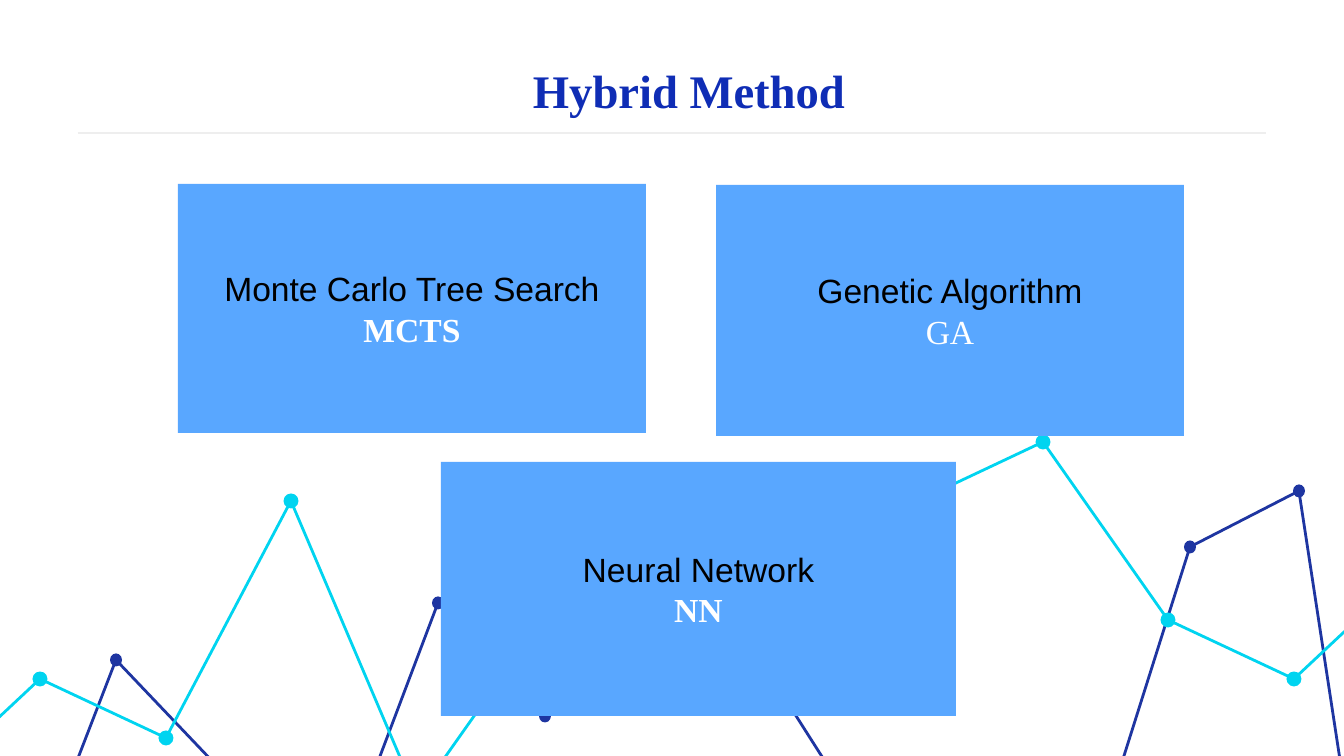
import dataclasses

import pptx
import pptx.dml.color
import pptx.enum.shapes
import pptx.enum.text
import pptx.oxml.ns
import pptx.util
from lxml import etree

SCALE = 914400 / 134.4


@dataclasses.dataclass(frozen=True)
class Theme:
    """Colours, fonts and point sizes of the slide."""
    navy: str = "1E35A1"
    cyan: str = "00D4F0"
    box: str = "59A7FF"
    rule: str = "EEEEEE"
    title: str = "0F2DB5"
    black: str = "000000"
    white: str = "FFFFFF"
    sans: str = "Arial"
    serif: str = "Times New Roman"
    title_size: int = 25
    box_size: int = 18
    line_width: float = 1.5


THEME = Theme()

NAVY_POINTS = [(7, 942), (116, 660), (331, 886), (438, 603), (545, 716), (653, 491),
               (868, 829), (974, 773), (1083, 886), (1190, 547), (1299, 491), (1368, 943)]
CYAN_POINTS = [(-86, 797), (40, 679), (166, 738), (291, 501), (417, 797), (542, 620),
               (667, 679), (792, 620), (918, 501), (1043, 442), (1168, 620), (1294, 679),
               (1421, 560), (1500, 800)]

BOXES = [
    ((178, 184, 468, 249), "Monte Carlo Tree Search", "MCTS", True),
    ((441, 462, 515, 254), "Neural Network", "NN", True),
    ((716, 185, 468, 251), "Genetic Algorithm", "GA", False),
]


def px(*values):
    """Turn px lengths into EMU."""
    return [pptx.util.Emu(round(v * SCALE)) for v in values]


def rgb(value):
    """Return a colour from its hex string."""
    return pptx.dml.color.RGBColor.from_string(value)


def set_line(s, color):
    """Give an outline or connector its colour and the theme width."""
    s.line.color.rgb = rgb(color)
    s.line.width = pptx.util.Pt(THEME.line_width)


def add_filled(slide, kind, rect, color):
    """Add a preset shape with a plain fill and no outline."""
    s = slide.shapes.add_shape(kind, *px(*rect))
    s.shadow.inherit = False
    s.fill.solid()
    s.fill.fore_color.rgb = rgb(color)
    s.line.fill.background()
    return s


def add_zigzag(slide, points, marked, dot, color):
    """Draw an open line through the points with dots on the marked ones."""
    builder = slide.shapes.build_freeform(*points[0], scale=SCALE)
    builder.add_line_segments(points[1:], close=False)
    s = builder.convert_to_shape()
    s.shadow.inherit = False
    s.fill.background()
    set_line(s, color)
    w, h = dot
    for x, y in (points[i] for i in marked):
        rect = (x - w / 2, y - h / 2, w, h)
        add_filled(slide, pptx.enum.shapes.MSO_SHAPE.OVAL, rect, color)


def add_rule(slide, x1, x2, y):
    """Draw the horizontal rule under the title."""
    s = slide.shapes.add_connector(
        pptx.enum.shapes.MSO_CONNECTOR.STRAIGHT, *px(x1, y, x2, y))
    set_line(s, THEME.rule)
    etree.SubElement(s.element.spPr, pptx.oxml.ns.qn("a:effectLst"))


def set_frame(tf):
    """Wrap the text, centre it vertically and set even margins."""
    tf.word_wrap = True
    tf.vertical_anchor = pptx.enum.text.MSO_ANCHOR.MIDDLE
    tf.margin_left = tf.margin_right = pptx.util.Inches(0.1)
    tf.margin_top = tf.margin_bottom = pptx.util.Inches(0.1)


def set_paragraph(p, text, size, font, color, bold):
    """Write one centred paragraph in a single style."""
    p.text = text
    p.alignment = pptx.enum.text.PP_ALIGN.CENTER
    p.font.size = pptx.util.Pt(size)
    p.font.name = font
    p.font.bold = bold
    p.font.color.rgb = rgb(color)


def add_title(slide, rect, text):
    """Add the slide title."""
    tf = slide.shapes.add_textbox(*px(*rect)).text_frame
    set_frame(tf)
    set_paragraph(tf.paragraphs[0], text, THEME.title_size, THEME.serif, THEME.title, True)


def add_method_box(slide, rect, name, short, bold):
    """Add a box with a method name above its abbreviation."""
    s = add_filled(slide, pptx.enum.shapes.MSO_SHAPE.RECTANGLE, rect, THEME.box)
    tf = s.text_frame
    set_frame(tf)
    set_paragraph(tf.paragraphs[0], name, THEME.box_size, THEME.sans, THEME.black, False)
    set_paragraph(tf.add_paragraph(), short, THEME.box_size, THEME.serif, THEME.white, bold)


def main():
    """Build the slide and save it."""
    prs = pptx.Presentation()
    prs.slide_width, prs.slide_height = px(1344, 756)
    slide = prs.slides.add_slide(prs.slide_layouts[6])
    add_zigzag(slide, NAVY_POINTS, (1, 3, 4, 9, 10), (12, 13), THEME.navy)
    add_zigzag(slide, CYAN_POINTS, (1, 2, 3, 9, 10, 11), (15, 15), THEME.cyan)
    add_title(slide, (86, 54, 1206, 71), "Hybrid Method")
    for box in BOXES:
        add_method_box(slide, *box)
    add_rule(slide, 78, 1266, 133)
    prs.save("out.pptx")


if __name__ == "__main__":
    main()
